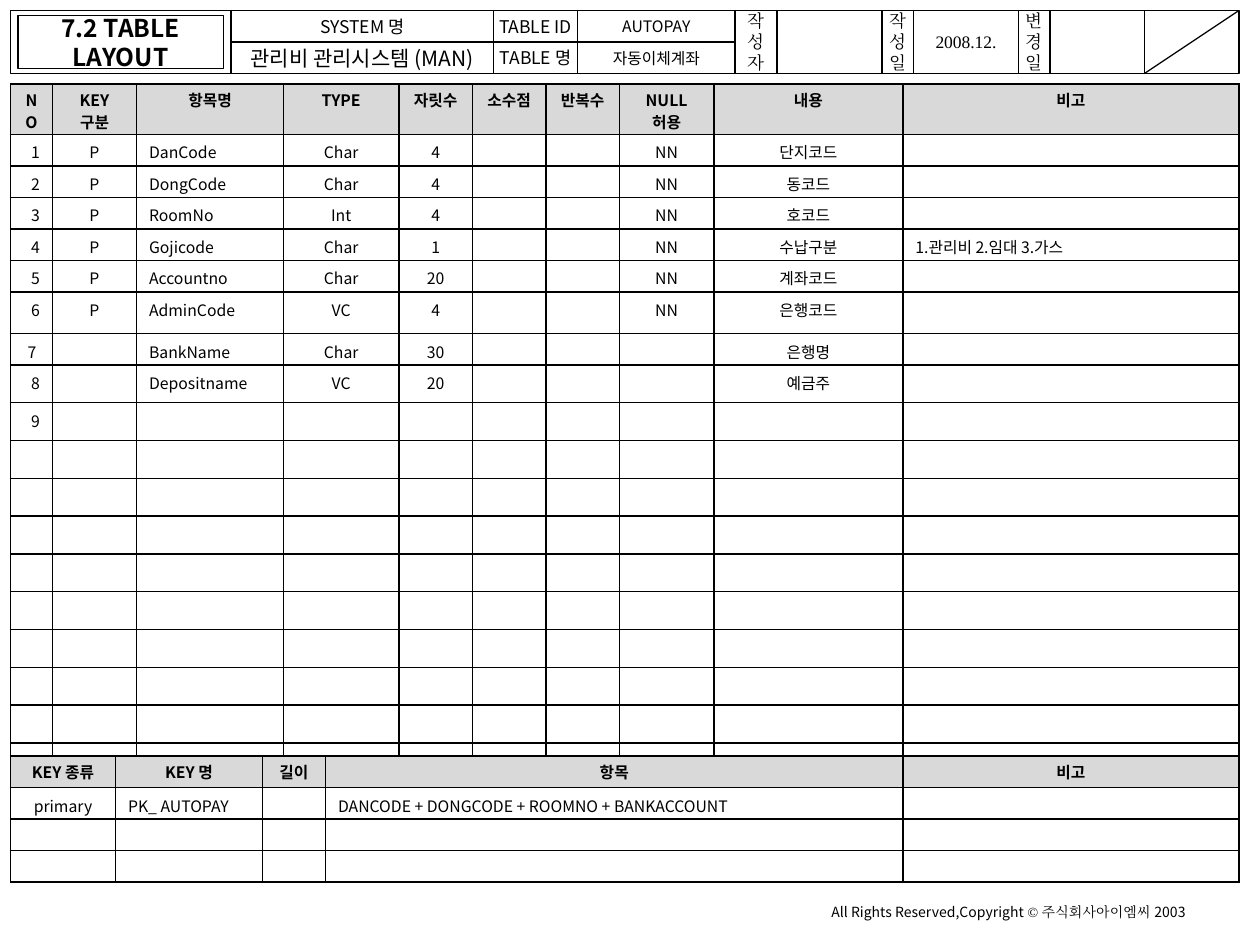
"""Build the table layout sheet for the automatic payment accounts."""
from dataclasses import dataclass

from pptx import Presentation
from pptx.dml.color import RGBColor
from pptx.enum.shapes import MSO_CONNECTOR as Connector, MSO_SHAPE as Preset
from pptx.enum.text import MSO_ANCHOR as Anchor, PP_ALIGN as Align
from pptx.oxml import parse_xml
from pptx.oxml.ns import nsdecls, qn
from pptx.oxml.xmlchemy import OxmlElement
from pptx.slide import Slide
from pptx.util import Inches, Length, Pt

COLORS = {"ink": "000000", "head": "D9D9D9"}
SANS = "Noto Sans CJK KR"
SERIF = "Times New Roman"
ALIGNS = {"L": Align.LEFT, "C": Align.CENTER, "R": Align.RIGHT}


@dataclass
class Box:
    left: float
    top: float
    width: float
    height: float
    lines: tuple[str, ...] = ()
    size: int = 10
    font: str = SANS
    bold: bool = False
    outlined: bool = True


@dataclass
class Sheet:
    top: int
    columns: list[int]
    heights: list[float]
    aligns: str
    rows: list[list[str]]


BOXES = [
    Box(1, 1, 21, 6),
    Box(1.7, 1.5, 19.6, 5),
    Box(22, 1, 25, 3, ("SYSTEM 명",)),
    Box(22, 4, 25, 3, ("관리비 관리시스템 (MAN)",), 12),
    Box(47, 1, 8, 3, ("TABLE ID",)),
    Box(47, 4, 8, 3, ("TABLE 명",)),
    Box(55, 1, 15, 3, ("AUTOPAY",), 9),
    Box(55, 4, 15, 3, ("자동이체계좌",), 9),
    Box(70, 1, 4, 6, tuple("작성자"), font=SERIF),
    Box(74, 1, 10, 6),
    Box(84, 1, 3, 6, tuple("작성일"), font=SERIF),
    Box(87, 1, 10, 6, ("2008.12.",), font=SERIF),
    Box(97, 1, 3, 6, tuple("변경일"), font=SERIF),
    Box(100, 1, 9, 6),
    Box(109, 1, 9, 6),
    Box(2, 1, 19, 6, ("7.2 TABLE LAYOUT",), 14, bold=True, outlined=False),
]

FIELDS = Sheet(
    8, [4, 8, 14, 11, 7, 7, 7, 9, 18, 32],
    [0.4] + [0.25] * 5 + [0.33, 0.25] + [0.3] * 11, "RCLCCCCCCL",
    [
        ["NO", "KEY\v구분", "항목명", "TYPE", "자릿수", "소수점", "반복수",
         "NULL\v허용", "내용", "비고"],
        ["1", "P", "DanCode", "Char", "4", "", "", "NN", "단지코드"],
        ["2", "P", "DongCode", "Char", "4", "", "", "NN", "동코드"],
        ["3", "P", "RoomNo", "Int", "4", "", "", "NN", "호코드"],
        ["4", "P", "Gojicode", "Char", "1", "", "", "NN", "수납구분",
         "1.관리비 2.임대 3.가스"],
        ["5", "P", "Accountno", "Char", "20", "", "", "NN", "계좌코드"],
        ["6", "P", "AdminCode", "VC", "4", "", "", "NN", "은행코드"],
        ["7 ", "", "BankName", "Char", "30", "", "", "", "은행명"],
        ["8", "", "Depositname", "VC", "20", "", "", "", "예금주"],
        ["9"],
    ],
)
KEYS = Sheet(
    72, [10, 14, 6, 55, 32], [0.25] * 4, "CLCLL",
    [
        ["KEY 종류", "KEY 명", "길이", "항목", "비고"],
        ["primary", "PK_ AUTOPAY", "",
         "DANCODE + DONGCODE + ROOMNO + BANKACCOUNT"],
    ],
)


def grid(units: float) -> Length:
    """Turn twelfths of an inch into a length."""
    return Inches(units / 12)


def color(name: str) -> RGBColor:
    """Look up a named colour."""
    return RGBColor.from_string(COLORS[name])


def add_span(para, text: str, size: int, font: str = SANS, bold: bool = False) -> None:
    """Append one formatted run to a paragraph."""
    span = para.add_run()
    span.text = text
    span.font.size = Pt(size)
    span.font.bold = bold
    span.font.name = font
    span.font.color.rgb = color("ink")
    east_asian = OxmlElement("a:ea")
    east_asian.set("typeface", font)
    span.font._element.find(qn("a:latin")).addnext(east_asian)


def draw_box(page: Slide, box: Box) -> None:
    """Draw a framed or plain box with centred lines of text."""
    area = [grid(n) for n in (box.left, box.top, box.width, box.height)]
    if box.outlined:
        shape = page.shapes.add_shape(Preset.RECTANGLE, *area)
        shape.shadow.inherit = False
        shape.fill.background()
        shape.line.color.rgb = color("ink")
        shape.line.width = Pt(0.75)
    else:
        shape = page.shapes.add_textbox(*area)
    frame = shape.text_frame
    frame.word_wrap = False
    frame.vertical_anchor = Anchor.MIDDLE
    for index, line in enumerate(box.lines):
        para = frame.add_paragraph() if index else frame.paragraphs[0]
        para.alignment = Align.CENTER
        add_span(para, line, box.size, box.font, box.bold)


def draw_slash(page: Slide) -> None:
    """Cross out the last header box."""
    line = page.shapes.add_connector(
        Connector.STRAIGHT, grid(118), grid(1), grid(109), grid(7))
    line.line.color.rgb = color("ink")
    line.line.width = Pt(0.75)
    line._element.spPr.append(OxmlElement("a:effectLst"))


def style_cell(cell, is_head: bool) -> None:
    """Set the borders, fill and margins of a cell."""
    properties = cell._tc.get_or_add_tcPr()
    for side in ("lnL", "lnR", "lnT", "lnB"):
        properties.append(parse_xml(
            f'<a:{side} {nsdecls("a")} w="{Pt(1)}"><a:solidFill>'
            f'<a:srgbClr val="{COLORS["ink"]}"/></a:solidFill></a:{side}>'))
    if is_head:
        cell.fill.solid()
        cell.fill.fore_color.rgb = color("head")
    else:
        cell.fill.background()
    cell.margin_top = Inches(0.03 if is_head else 0.05)
    cell.margin_bottom = 0


def fill_cell(cell, text: str, align: Align, is_head: bool) -> None:
    """Write the text of a cell, or keep an empty one small."""
    para = cell.text_frame.paragraphs[0]
    para.alignment = align
    if not text:
        end = OxmlElement("a:endParaRPr")
        end.set("sz", "900")
        para._p.append(end)
        return
    for index, part in enumerate(text.split("\v")):
        if index:
            para.add_line_break()
        add_span(para, part, 9, bold=is_head)


def draw_sheet(page: Slide, sheet: Sheet) -> None:
    """Draw a bordered table with a grey heading row."""
    table = page.shapes.add_table(
        len(sheet.heights), len(sheet.columns), grid(1), grid(sheet.top),
        grid(sum(sheet.columns)), Inches(sum(sheet.heights))).table
    table.first_row = table.horz_banding = False
    for column, width in zip(table.columns, sheet.columns):
        column.width = grid(width)
    for row_index, height in enumerate(sheet.heights):
        table.rows[row_index].height = Inches(height)
        is_head = row_index == 0
        texts = sheet.rows[row_index] if row_index < len(sheet.rows) else []
        for index, letter in enumerate(sheet.aligns):
            cell = table.cell(row_index, index)
            style_cell(cell, is_head)
            text = texts[index] if index < len(texts) else ""
            fill_cell(cell, text, ALIGNS["C" if is_head else letter], is_head)


def draw_footer(page: Slide) -> None:
    """Write the copyright line."""
    box = page.shapes.add_textbox(Inches(6.5), Inches(7.15), Inches(3.58), Inches(0.23))
    frame = box.text_frame
    frame.word_wrap = True
    frame.margin_top = frame.margin_bottom = Inches(0.02)
    para = frame.paragraphs[0]
    add_span(para, "All Rights Reserved,Copyright ", 8)
    add_span(para, "© 주식회사아이엠씨 ", 8, SERIF)
    add_span(para, "2003", 8)


def main() -> None:
    """Build and save the deck."""
    deck = Presentation()
    deck.slide_width, deck.slide_height = Inches(10), Inches(7.5)
    page = deck.slides.add_slide(deck.slide_layouts[6])
    for box in BOXES:
        draw_box(page, box)
    draw_slash(page)
    draw_footer(page)
    for sheet in (FIELDS, KEYS):
        draw_sheet(page, sheet)
    deck.save("out.pptx")


if __name__ == "__main__":
    main()
